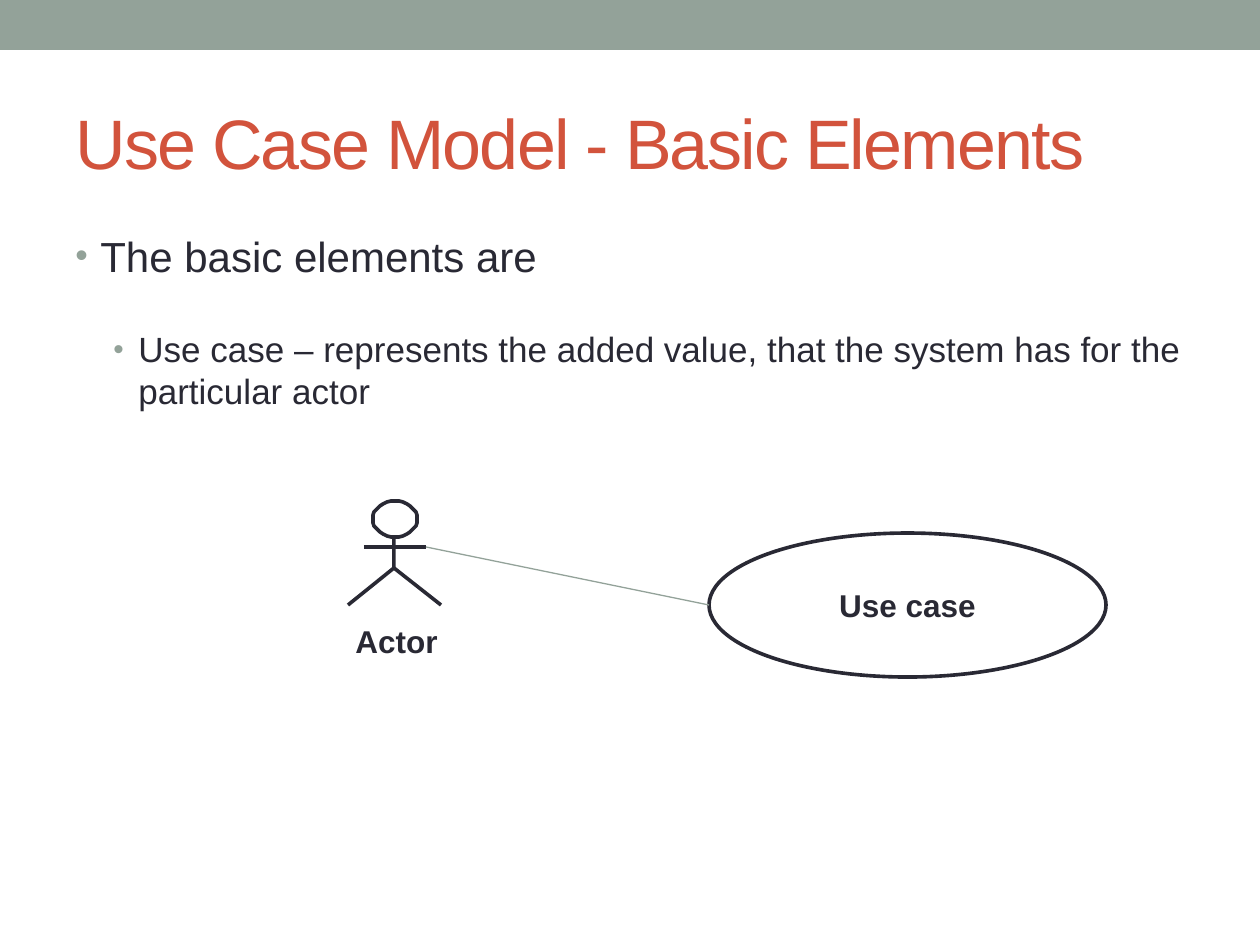
from dataclasses import dataclass

from lxml import etree
from pptx import Presentation
from pptx.dml.color import RGBColor
from pptx.enum.shapes import MSO_CONNECTOR, MSO_SHAPE
from pptx.enum.text import MSO_ANCHOR, PP_ALIGN
from pptx.oxml.ns import qn
from pptx.util import Emu, Pt

PX = 914400 / 126
STRAIGHT = MSO_CONNECTOR.STRAIGHT
RECTANGLE, OVAL = MSO_SHAPE.RECTANGLE, MSO_SHAPE.OVAL
MIDDLE, CENTER = MSO_ANCHOR.MIDDLE, PP_ALIGN.CENTER
SAGE, RUST, INK = "93A299", "D2533C", "292934"
INK_WIDTH, LINK_WIDTH = 2.08, 0.75

Point = tuple[int, int]


@dataclass(frozen=True)
class Bullet:
    text: str
    size: int
    indent: int
    space_before: int


BULLETS = [
    Bullet("The basic elements are", 24, 25, 0),
    Bullet("Use case – represents the added value, that the system has "
           "for the particular actor", 20, 63, 27),
]
BULLET_HANG = 25

# Actor figure
HEAD_CENTER: Point = (395, 519)
HEAD_QUARTER: list[Point] = [(4, 18), (8, 17), (12, 15), (15, 13),
                             (18, 10), (21, 7), (22, 4), (22, 0)]
NECK, HIP = (394, 537), (394, 568)
LEFT_HAND, RIGHT_HAND = (364, 547), (426, 547)
LEFT_FOOT, RIGHT_FOOT = (348, 605), (441, 605)
USE_CASE_LEFT: Point = (709, 605)


def px(length: int) -> Emu:
    return Emu(round(length * PX))


def color(value: str) -> RGBColor:
    return RGBColor.from_string(value)


def set_line(shape, line_color: str, width: float) -> None:
    shape.line.color.rgb = color(line_color)
    shape.line.width = Pt(width)


def write(para, text: str, size: int, text_color: str, bold: bool = False):
    span = para.add_run()
    span.text = text
    formats = {"name": "Arial", "size": Pt(size), "bold": bold}
    for name, value in formats.items():
        setattr(span.font, name, value)
    span.font.color.rgb = color(text_color)
    return span


def add_box(shapes, left: int, top: int, width: int, height: int, wrap: bool = True):
    box = shapes.add_textbox(px(left), px(top), px(width), px(height))
    box.text_frame.word_wrap = wrap
    return box.text_frame


def add_bullet_mark(para, indent: int) -> None:
    properties = para._p.get_or_add_pPr()
    properties.set("marL", str(px(indent)))
    properties.set("indent", str(-px(BULLET_HANG)))
    mark_color = etree.SubElement(properties, qn("a:buClr"))
    etree.SubElement(mark_color, qn("a:srgbClr"), val=SAGE)
    etree.SubElement(properties, qn("a:buSzPct"), val="85000")
    etree.SubElement(properties, qn("a:buFont"), typeface="Arial")
    etree.SubElement(properties, qn("a:buChar"), char="•")


def add_line(shapes, start: Point, end: Point, line_color: str, width: float) -> None:
    line = shapes.add_connector(STRAIGHT, *map(px, start + end))
    set_line(line, line_color, width)
    etree.SubElement(line._element.spPr, qn("a:effectLst"))


def add_outline(shapes, points: list[Point], close: bool) -> None:
    builder = shapes.build_freeform(*points[0], scale=PX)
    builder.add_line_segments(points[1:], close=close)
    outline = builder.convert_to_shape()
    outline.shadow.inherit = False
    outline.fill.background()
    set_line(outline, INK, INK_WIDTH)


def head_points() -> list[Point]:
    """Mirror one quarter of the head into a whole outline."""
    center_x, center_y = HEAD_CENTER
    right = HEAD_QUARTER + [(x, -y) for x, y in HEAD_QUARTER[-2::-1]]
    ring = right + [(-x, y) for x, y in reversed(right)]
    return [(center_x + x, center_y - y) for x, y in ring]


def add_actor(slide) -> None:
    figure = slide.shapes.add_group_shape().shapes
    add_outline(figure, head_points(), True)
    add_line(figure, LEFT_HAND, RIGHT_HAND, INK, INK_WIDTH)
    add_outline(figure, [NECK, HIP, LEFT_FOOT], False)
    add_line(figure, HIP, RIGHT_FOOT, INK, INK_WIDTH)
    label = add_box(figure, 343, 616, 178, 50)
    write(label.paragraphs[0], "Actor", 18, INK, True)


def add_use_case(slide) -> None:
    oval = slide.shapes.add_shape(OVAL, px(709), px(533), px(397), px(144))
    oval.shadow.inherit = False
    oval.fill.background()
    set_line(oval, INK, INK_WIDTH)
    frame = oval.text_frame
    frame.word_wrap = False
    frame.vertical_anchor = MIDDLE
    para = frame.paragraphs[0]
    para.alignment = CENTER
    write(para, "Use case", 18, INK, True)


def main() -> None:
    deck = Presentation()
    deck.slide_width, deck.slide_height = px(1260), px(945)
    slide = deck.slides.add_slide(deck.slide_layouts[6])

    # Top band
    band = slide.shapes.add_shape(RECTANGLE, 0, 0, px(1260), px(50))
    band.shadow.inherit = False
    band.fill.solid()
    band.fill.fore_color.rgb = color(SAGE)
    band.line.fill.background()

    # Title
    title = add_box(slide.shapes, 63, 73, 1134, 136)
    title.vertical_anchor = MIDDLE
    span = write(title.paragraphs[0], "Use Case Model - Basic Elements", 40, RUST)
    span.font._element.set("spc", "-100")

    # Bullets
    body = add_box(slide.shapes, 63, 224, 1134, 682)
    for index, bullet in enumerate(BULLETS):
        para = body.add_paragraph() if index else body.paragraphs[0]
        add_bullet_mark(para, bullet.indent)
        para.space_before = Pt(bullet.space_before)
        write(para, bullet.text, bullet.size, INK)

    # Diagram
    add_use_case(slide)
    add_actor(slide)
    add_line(slide.shapes, RIGHT_HAND, USE_CASE_LEFT, SAGE, LINK_WIDTH)

    deck.save("out.pptx")


if __name__ == "__main__":
    main()
